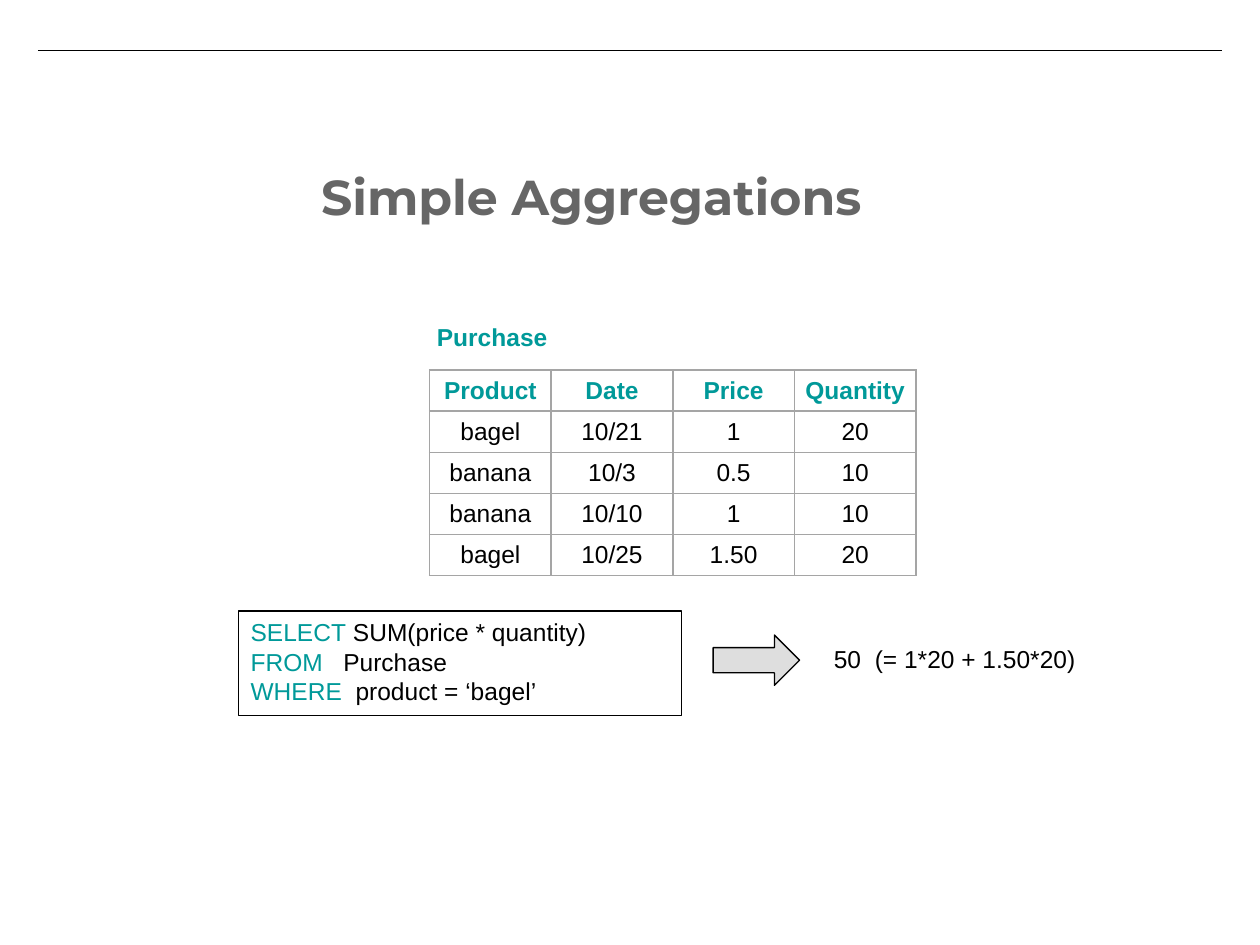
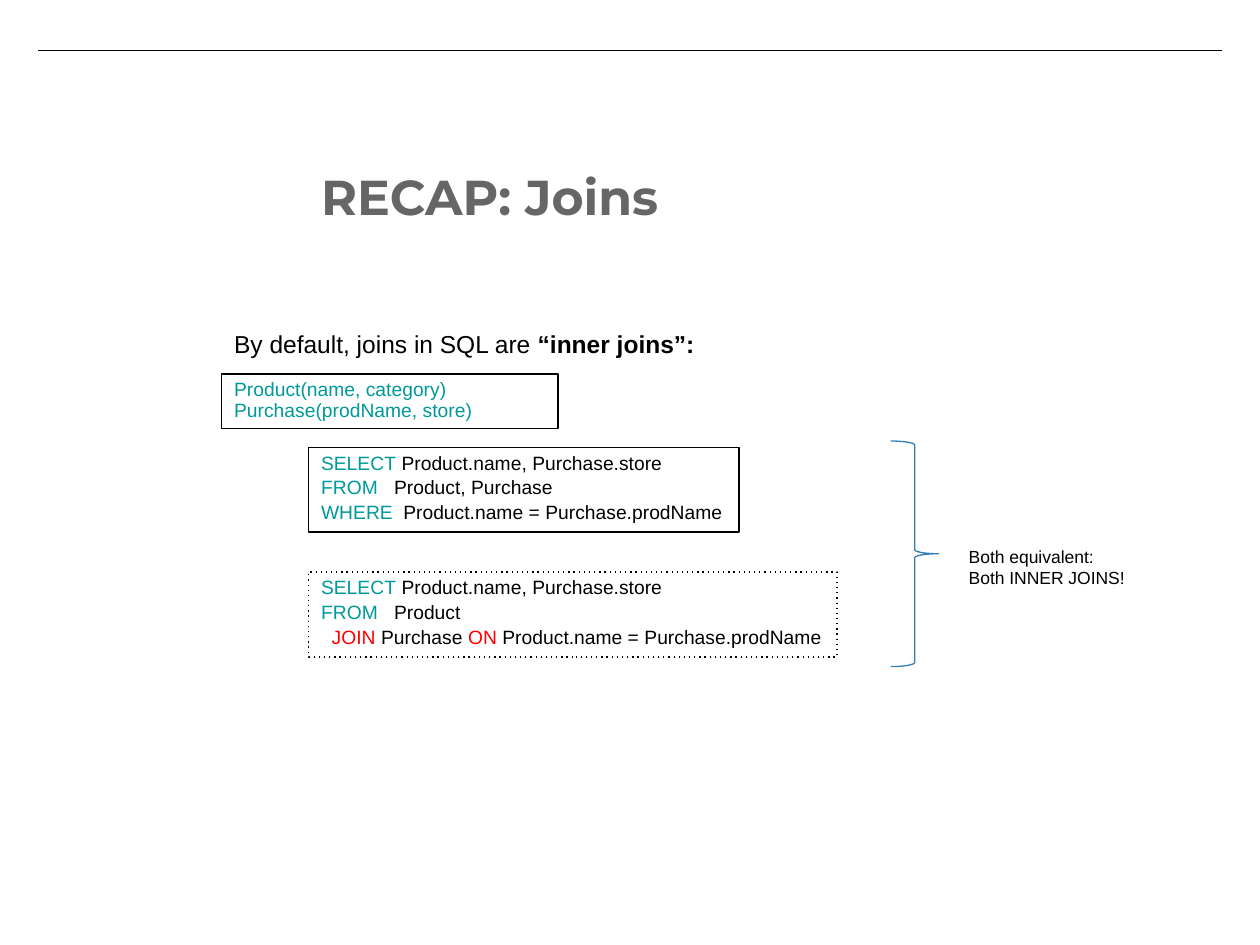
from dataclasses import dataclass

from lxml.etree import SubElement
from pptx import Presentation
from pptx.dml.color import RGBColor
from pptx.enum.shapes import MSO_CONNECTOR, MSO_SHAPE as Shape
from pptx.enum.text import MSO_ANCHOR as Anchor, PP_ALIGN as Align
from pptx.oxml.ns import qn
from pptx.util import Pt

BLACK, WHITE, TEAL, RED = "000000", "FFFFFF", "009999", "FF0000"
TITLE_GREY, GRID_GREY, ARROW_GREY, BRACE_BLUE = "666666", "A5A5A5", "BFBFBF", "347EB8"
BODY_FONT, TITLE_FONT = "Arial", "Montserrat"
PADDING = (7.2, 3.6)


@dataclass
class Line:
    """One paragraph: (text, colour, bold) runs, an optional tab stop and indent."""
    runs: list
    stop: float = 0
    indent: float = 0


def colour(hex_code):
    """Turn a hex string into a colour."""
    return RGBColor.from_string(hex_code)


def apply(target, values):
    """Set each format value on the target."""
    for name, value in values.items():
        setattr(target, name, value)


def box_of(bounds):
    """Convert left, top, width and height in points to lengths."""
    return [Pt(value) for value in bounds]


def margins(across, down):
    """Give the four margins for a horizontal and a vertical padding."""
    return {"margin_left": Pt(across), "margin_right": Pt(across),
            "margin_top": Pt(down), "margin_bottom": Pt(down)}


def add_run(paragraph, size, text, hex_code, bold=False, font=BODY_FONT):
    """Add one formatted run."""
    run = paragraph.add_run()
    run.text = text
    apply(run.font, {"name": font, "size": Pt(size), "bold": bold})
    run.font.color.rgb = colour(hex_code)


def write_lines(holder, lines, size, padding=PADDING, font=BODY_FONT,
                spacing=1.0, before=0):
    """Fill a text holder with left-aligned lines."""
    frame = holder.text_frame
    apply(frame, {"word_wrap": True, "vertical_anchor": Anchor.TOP, **margins(*padding)})
    for index, line in enumerate(lines):
        paragraph = frame.add_paragraph() if index else frame.paragraphs[0]
        apply(paragraph, {"alignment": Align.LEFT, "line_spacing": spacing,
                          "space_before": Pt(before if index else 0)})
        properties = paragraph._p.get_or_add_pPr()
        if line.indent:
            properties.set("marL", str(Pt(line.indent)))
            properties.set("indent", "0")
        if line.stop:
            stops = SubElement(properties, qn("a:tabLst"))
            SubElement(stops, qn("a:tab"), pos=str(Pt(line.stop)), algn="l")
        for run in line.runs:
            add_run(paragraph, size, *run, font=font)


def add_label(slide, bounds, lines, size, **style):
    """Add a plain text box."""
    label = slide.shapes.add_textbox(*box_of(bounds))
    write_lines(label, lines, size, **style)


def add_outlined(slide, kind, bounds, fill=None, line=BLACK):
    """Add a preset shape with a thin outline."""
    shape = slide.shapes.add_shape(kind, *box_of(bounds))
    shape.shadow.inherit = False
    if fill:
        shape.fill.solid()
        shape.fill.fore_color.rgb = colour(fill)
    else:
        shape.fill.background()
    shape.line.color.rgb = colour(line)
    shape.line.width = Pt(0.75)
    return shape


def add_code_box(slide, bounds, lines, size, dotted=False, **style):
    """Add a white framed box of SQL or schema text."""
    code = add_outlined(slide, Shape.RECTANGLE, bounds, WHITE)
    if dotted:
        SubElement(code._element.spPr.find(qn("a:ln")), qn("a:prstDash"), val="dot")
    write_lines(code, lines, size, **style)


def add_result_arrow(slide, bounds):
    """Add a half-transparent arrow pointing to the query result."""
    arrow = add_outlined(slide, Shape.RIGHT_ARROW, bounds, ARROW_GREY)
    tint = arrow._element.spPr.find(qn("a:solidFill")).find(qn("a:srgbClr"))
    SubElement(tint, qn("a:alpha"), val="50000")


def add_cell_borders(cell):
    """Draw a thin grey line on every side of a cell."""
    properties = cell._tc.get_or_add_tcPr()
    for position, side in enumerate(("lnL", "lnR", "lnT", "lnB")):
        border = SubElement(properties, qn(f"a:{side}"), w=str(Pt(1)))
        fill = SubElement(border, qn("a:solidFill"))
        SubElement(fill, qn("a:srgbClr"), val=GRID_GREY)
        properties.insert(position, border)


def add_grid(slide, left, top, column_width, row_height, rows):
    """Add a bordered table whose first row is the teal header."""
    bounds = (left, top, column_width * len(rows[0]), row_height * len(rows))
    table = slide.shapes.add_table(len(rows), len(rows[0]), *box_of(bounds)).table
    apply(table, {"first_row": False, "horz_banding": False})
    for column in table.columns:
        column.width = Pt(column_width)
    for row_index, row in enumerate(rows):
        table.rows[row_index].height = Pt(row_height)
        header = row_index == 0
        for column_index, text in enumerate(row):
            cell = table.cell(row_index, column_index)
            apply(cell, {"vertical_anchor": Anchor.MIDDLE, **margins(4.3, 2.2)})
            cell.fill.solid()
            cell.fill.fore_color.rgb = colour(WHITE)
            paragraph = cell.text_frame.paragraphs[0]
            paragraph.alignment = Align.CENTER
            add_run(paragraph, 14, text, TEAL if header else BLACK, header)
            add_cell_borders(cell)


def start_slide(deck, title):
    """Add a blank slide with the top rule and the title."""
    slide = deck.slides.add_slide(deck.slide_layouts[6])
    rule = slide.shapes.add_connector(MSO_CONNECTOR.STRAIGHT, *box_of((21.6, 28.8, 698.4, 28.8)))
    rule.line.color.rgb = colour(BLACK)
    rule.line.width = Pt(0.75)
    SubElement(rule._element.spPr, qn("a:effectLst"))
    add_label(slide, (176.4, 87.8, 526.3, 91.4), [Line([(title, TITLE_GREY, True)])], 28,
              padding=(7.2, 7.2), font=TITLE_FONT)
    return slide


def clause(keyword, rest, stop=0):
    """Make an SQL line of a teal keyword and its black operands."""
    return Line([(keyword, TEAL), (("\t" if stop else " ") + rest, BLACK)], stop)


def build_aggregations(deck):
    """Build the slide on simple aggregations."""
    slide = start_slide(deck, "Simple Aggregations")
    add_label(slide, (242.6, 180.7, 83, 24.5), [Line([("Purchase", TEAL, True)])], 14)
    add_grid(slide, 245.5, 211.5, 69.5, 23.5, [
        ("Product", "Date", "Price", "Quantity"),
        ("bagel", "10/21", "1", "20"),
        ("banana", "10/3", "0.5", "10"),
        ("banana", "10/10", "1", "10"),
        ("bagel", "10/25", "1.50", "20"),
    ])
    add_code_box(slide, (136.1, 349.2, 253.4, 59.8), [
        clause("SELECT", "SUM(price * quantity)"),
        clause("FROM", "Purchase", 53),
        clause("WHERE", "product = ‘bagel’", 60),
    ], 14)
    add_result_arrow(slide, (407.5, 362.9, 49.4, 28.8))
    add_label(slide, (469.4, 364.3, 158, 24.5),
              [Line([("50\t(= 1*20 + 1.50*20)", BLACK)], stop=23.4)], 14)


def build_joins(deck):
    """Build the recap slide on joins."""
    slide = start_slide(deck, "RECAP: Joins")
    add_label(slide, (126.7, 186.5, 410.4, 194.4), [
        Line([("By default, joins in SQL are ", BLACK), ("“inner joins”:", BLACK, True)]),
    ], 14, spacing=0.9)

    query_left, query_height = 176.4, 48.5
    query_style = {"size": 11, "spacing": 0.9, "before": 2.2}
    selection = clause("SELECT", "Product.name, Purchase.store")
    add_code_box(slide, (query_left, 326.9, 302, query_height), [
        selection,
        clause("FROM", "Product", 41.7),
        Line([("JOIN ", RED), ("Purchase ", BLACK), ("ON ", RED),
              ("Product.name = Purchase.prodName", BLACK)], indent=6.1),
    ], dotted=True, **query_style)
    add_code_box(slide, (query_left, 255.6, 246, query_height), [
        selection,
        clause("FROM", "Product, Purchase", 41.7),
        clause("WHERE", "Product.name = Purchase.prodName", 47),
    ], **query_style)
    add_code_box(slide, (126.7, 213.8, 192.2, 31.2), [
        Line([("Product(name, category)", TEAL)]),
        Line([("Purchase(prodName, store)", TEAL)]),
    ], 11, spacing=0.9)

    add_outlined(slide, Shape.RIGHT_BRACE, (509, 252, 27.4, 128.9), line=BRACE_BLUE)
    add_label(slide, (546.5, 308.2, 108, 31.7), [
        Line([("Both equivalent:", BLACK)]),
        Line([("Both INNER JOINS!", BLACK)]),
    ], 10)


def main():
    """Build and save the deck."""
    deck = Presentation()
    apply(deck, {"slide_width": Pt(720), "slide_height": Pt(540)})
    build_aggregations(deck)
    build_joins(deck)
    deck.save("out.pptx")


if __name__ == "__main__":
    main()
